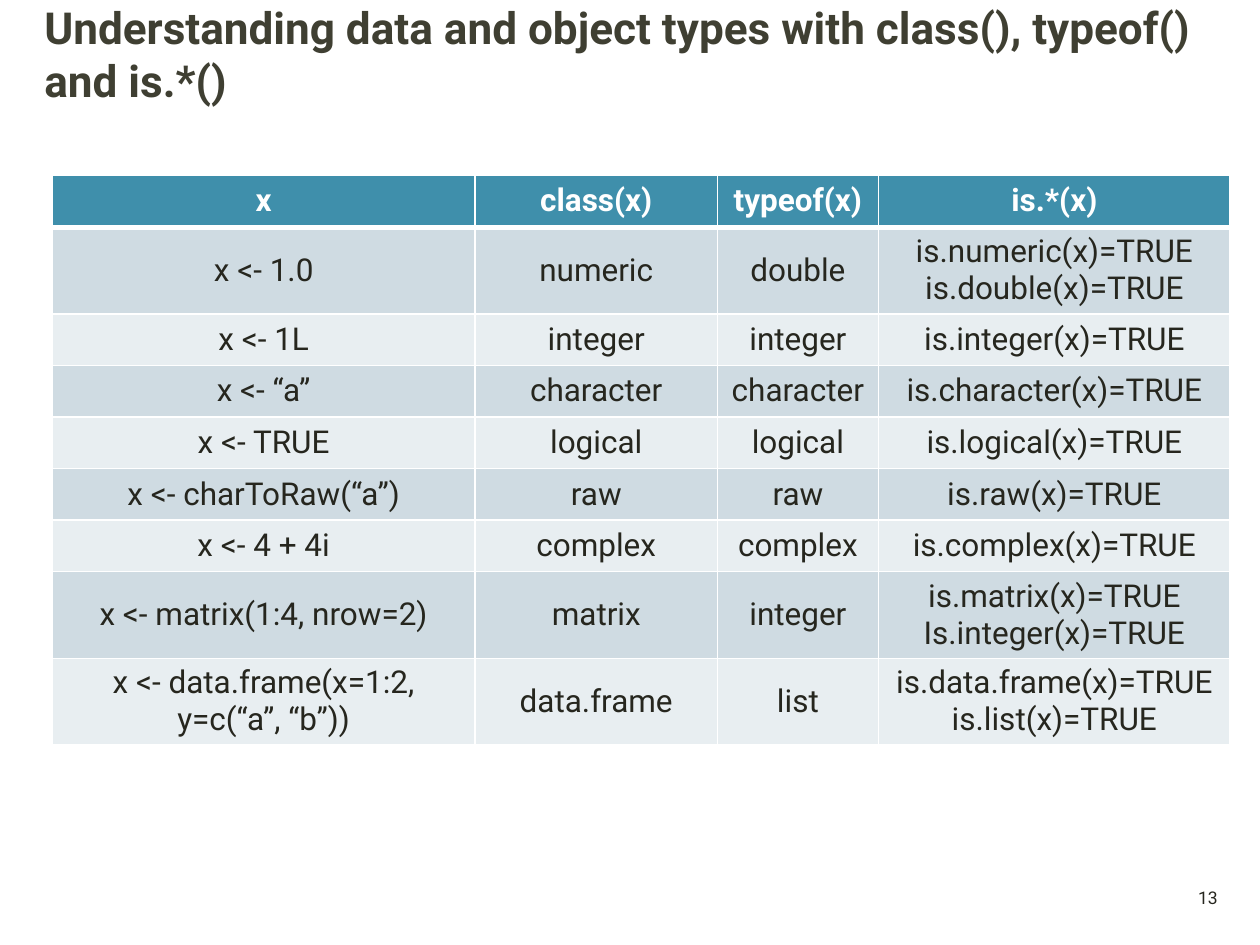
from lxml.etree import SubElement
from pptx import Presentation
from pptx.dml.color import RGBColor
from pptx.enum.text import MSO_ANCHOR, MSO_AUTO_SIZE, PP_ALIGN
from pptx.oxml.ns import qn
from pptx.util import Cm, Pt

FONT = "Roboto"
WHITE, INK, TITLE_INK = "FFFFFF", "26261E", "3F3F32"
HEADER_FILL, BAND_FILLS = "3F8FAB", ("CFDBE2", "E8EEF1")

COLUMN_WIDTHS = (8.53, 4.88, 3.25, 7.09)
ROW_HEIGHT, TALL_ROW_HEIGHT = 1.04, 1.74
TALL_ROWS = (1, 7, 8)

# "\v" is a line break, "\n" starts a new paragraph
TYPE_ROWS = [
    ("x", "class(x)", "typeof(x)", "is.*(x)"),
    ("x <- 1.0", "numeric", "double", "is.numeric(x)=TRUE\vis.double(x)=TRUE"),
    ("x <- 1L", "integer", "integer", "is.integer(x)=TRUE"),
    ("x <- “a”", "character", "character", "is.character(x)=TRUE"),
    ("x <- TRUE", "logical", "logical", "is.logical(x)=TRUE"),
    ("x <- charToRaw(“a”)", "raw", "raw", "is.raw(x)=TRUE"),
    ("x <- 4 + 4i", "complex", "complex", "is.complex(x)=TRUE"),
    ("x <- matrix(1:4, nrow=2)", "matrix", "integer",
     "is.matrix(x)=TRUE\nIs.integer(x)=TRUE"),
    ("x <- data.frame(x=1:2, y=c(“a”, “b”))", "data.frame", "list",
     "is.data.frame(x)=TRUE\nis.list(x)=TRUE"),
]


def rgb(color):
    return RGBColor.from_string(color)


def write_text(frame, text, size=18, color=INK, bold=False, align=PP_ALIGN.CENTER):
    frame.text = text
    for paragraph in frame.paragraphs:
        paragraph.alignment = align
        for run in paragraph.runs:
            run.font.name = FONT
            run.font.size = Pt(size)
            run.font.bold = bold
            run.font.color.rgb = rgb(color)


def set_borders(cell, color=WHITE, top=1, bottom=1):
    """Draw all four cell edges; call before filling, as the schema puts lines first."""
    properties = cell._tc.get_or_add_tcPr()
    for edge, width in (("L", 1), ("R", 1), ("T", top), ("B", bottom)):
        line = SubElement(properties, qn(f"a:ln{edge}"), w=str(Pt(width)))
        fill = SubElement(line, qn("a:solidFill"))
        SubElement(fill, qn("a:srgbClr"), val=color)


def add_title(slide, text):
    title = slide.shapes.title
    title.left, title.top, title.width, title.height = Cm(0.64), Cm(0.3), Cm(23.98), Cm(1.57)
    frame = title.text_frame
    frame.auto_size = MSO_AUTO_SIZE.NONE
    frame.vertical_anchor = MSO_ANCHOR.MIDDLE
    write_text(frame, text, size=25.2, color=TITLE_INK, bold=True, align=PP_ALIGN.LEFT)


def style_cell(cell, text, row_index):
    is_header = row_index == 0
    set_borders(cell, top=3 if row_index == 1 else 1, bottom=3 if is_header else 1)
    cell.fill.solid()
    cell.fill.fore_color.rgb = rgb(HEADER_FILL if is_header else BAND_FILLS[(row_index - 1) % 2])
    cell.vertical_anchor = MSO_ANCHOR.TOP if is_header else MSO_ANCHOR.MIDDLE
    write_text(cell.text_frame, text, color=WHITE if is_header else INK, bold=is_header)


def add_type_table(slide):
    heights = [TALL_ROW_HEIGHT if i in TALL_ROWS else ROW_HEIGHT for i in range(len(TYPE_ROWS))]
    table = slide.shapes.add_table(
        len(TYPE_ROWS), len(COLUMN_WIDTHS), Cm(1.05), Cm(3.54),
        Cm(sum(COLUMN_WIDTHS)), Cm(sum(heights))).table
    for column, width in zip(table.columns, COLUMN_WIDTHS):
        column.width = Cm(width)
    for row_index, (row, height, texts) in enumerate(zip(table.rows, heights, TYPE_ROWS)):
        row.height = Cm(height)
        for cell, text in zip(row.cells, texts):
            style_cell(cell, text, row_index)


def add_page_number(slide, number):
    frame = slide.shapes.add_textbox(Cm(23.88), Cm(17.75), Cm(0.94), Cm(0.69)).text_frame
    frame.margin_left = frame.margin_right = 0
    frame.word_wrap = True
    frame.vertical_anchor = MSO_ANCHOR.MIDDLE
    write_text(frame, number, size=10)


def main():
    presentation = Presentation()
    presentation.slide_width, presentation.slide_height = Cm(25.4), Cm(19.05)
    slide = presentation.slides.add_slide(presentation.slide_layouts[5])
    add_title(slide, "Understanding data and object types with class(), typeof() and is.*()")
    add_type_table(slide)
    add_page_number(slide, "13")
    presentation.save("out.pptx")


if __name__ == "__main__":
    main()
